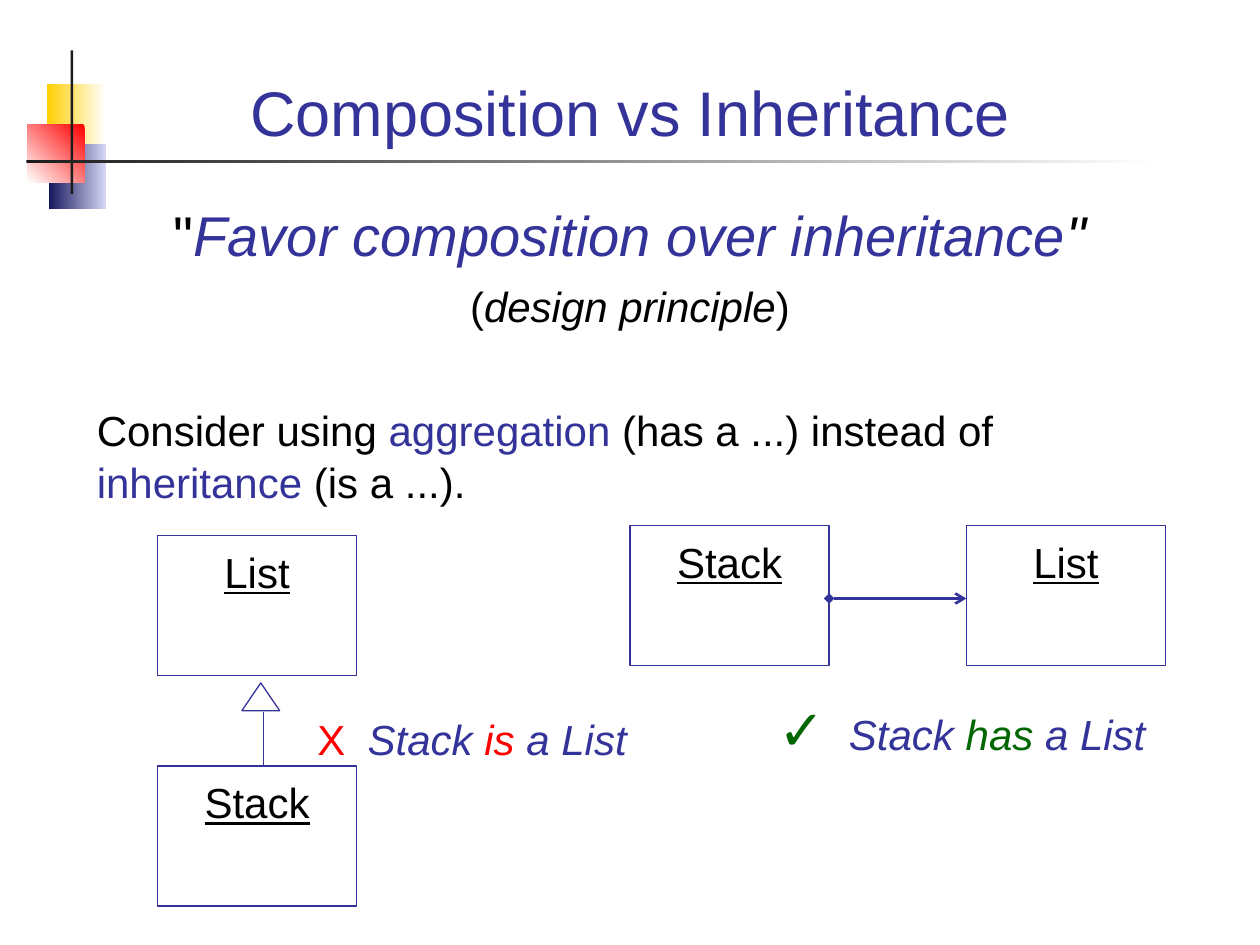
from dataclasses import dataclass

from lxml import etree
from pptx import Presentation
from pptx import util as u
from pptx.dml.color import RGBColor
from pptx.enum import shapes, text
from pptx.oxml import ns


@dataclass(frozen=True)
class Theme:
    font: str = "Arial"
    blue: str = "333399"
    black: str = "000000"
    white: str = "FFFFFF"
    red: str = "FF0000"
    green: str = "006600"
    yellow: str = "FFCF01"
    navy: str = "17175E"
    lilac: str = "D6D6F5"
    dark: str = "1C1C1C"
    title: int = 36
    quote: int = 32
    body: int = 24


T = Theme()
rgb = RGBColor.from_string
CENTER = text.PP_ALIGN.CENTER
LEFT = text.PP_ALIGN.LEFT


def inches(*values):
    return [u.Inches(v) for v in values]


def write(tf, runs, *, size=T.body, align=LEFT, before=0, spacing=1.04,
          anchor=text.MSO_ANCHOR.TOP, top=0.07, tab=None, new=False):
    """Add a paragraph of (text, colour, style letters, optional size) runs."""
    tf.word_wrap = True
    tf.auto_size = text.MSO_AUTO_SIZE.NONE
    tf.vertical_anchor = anchor
    tf.margin_left, tf.margin_right, tf.margin_top, tf.margin_bottom = inches(0.1, 0.1, top, 0.05)
    p = tf.add_paragraph() if new else tf.paragraphs[0]
    p.alignment, p.line_spacing, p.space_before = align, spacing, u.Pt(before)
    if tab:
        tabs = etree.SubElement(p._p.get_or_add_pPr(), ns.qn("a:tabLst"))
        etree.SubElement(tabs, ns.qn("a:tab"), pos=str(u.Inches(tab)), algn="l")
    for content, color, style, *own_size in runs:
        r = p.add_run()
        r.text = content
        f = r.font
        f.name, f.size = T.font, u.Pt(own_size[0] if own_size else size)
        f.color.rgb = rgb(color)
        f.italic, f.underline = "i" in style, "u" in style


def add_box(s, box, kind=shapes.MSO_SHAPE.RECTANGLE, fill=None, gradient=None, angle=0, line=None):
    sp = s.shapes.add_shape(kind, *inches(*box))
    sp.shadow.inherit = False
    if gradient:
        sp.fill.gradient()
        sp.fill.gradient_angle = angle
        for stop, color in zip(sp.fill.gradient_stops, gradient):
            stop.color.rgb = rgb(color)
    elif fill:
        sp.fill.solid()
        sp.fill.fore_color.rgb = rgb(fill)
    else:
        sp.fill.background()
    if line:
        sp.line.color.rgb, sp.line.width = rgb(line), u.Pt(0.75)
    else:
        sp.line.fill.background()
    return sp


def add_line(s, start, end, width, head=None, tail=None):
    c = s.shapes.add_connector(shapes.MSO_CONNECTOR.STRAIGHT, *inches(*start, *end))
    c.line.color.rgb, c.line.width = rgb(T.blue), u.Pt(width)
    ln = c.line._get_or_add_ln()
    for tag, kind in (("a:headEnd", head), ("a:tailEnd", tail)):
        if kind:
            etree.SubElement(ln, ns.qn(tag), type=kind)
    etree.SubElement(c._element.spPr, ns.qn("a:effectLst"))


def add_ornament(s, x, y):
    """Coloured squares with a vertical bar and a fading rule."""
    add_box(s, (x + 0.16, y + 0.27, 0.47, 0.52), gradient=(T.yellow, T.white))
    add_box(s, (x + 0.18, y + 0.74, 0.45, 0.52), gradient=(T.navy, T.lilac))
    add_box(s, (x + 0.01, y + 0.59, 0.45, 0.46), gradient=(T.red, T.white), angle=225)
    add_box(s, (x + 0.35, y, 0.02, 1.14), fill=T.dark)
    add_box(s, (x, y + 0.87, 8.99, 0.02), gradient=(T.dark, T.white))


def add_title(s, box):
    sp = s.shapes.title
    sp.left, sp.top, sp.width, sp.height = inches(*box)
    write(sp.text_frame, [("Composition vs Inheritance", T.blue, "")], size=T.title,
          align=CENTER, spacing=1.0, anchor=text.MSO_ANCHOR.BOTTOM)


def add_principle(s, box):
    tf = s.shapes.add_textbox(*inches(*box)).text_frame
    write(tf, [('"', T.black, ""), ("Favor composition over inheritance", T.blue, "i"),
               ('"', T.black, "i")], size=T.quote, align=CENTER)
    write(tf, [("(", T.black, ""), ("design principle", T.black, "i"), (")", T.black, "")],
          align=CENTER, before=6, new=True)
    write(tf, [("Consider using ", T.black, ""), ("aggregation", T.blue, ""),
               (" (has a ...) instead of ", T.black, ""), ("inheritance", T.blue, ""),
               (" (is a ...).", T.black, "")], before=41, new=True)


CLASS_W, CLASS_H = 1.58, 1.11


def add_class(s, x, y, name):
    sp = add_box(s, (x, y, CLASS_W, CLASS_H), line=T.blue)
    write(sp.text_frame, [(name, T.black, "u")], align=CENTER)


def add_verdict(s, box, mark, size, color, verb, tab):
    tf = s.shapes.add_textbox(*inches(*box)).text_frame
    write(tf, [(mark, color, "", size), ("\t", T.black, ""), ("Stack ", T.blue, "i"),
               (verb, color, "i"), (" a List", T.blue, "i")], tab=tab)


def add_inheritance(s, x, y):
    """Stack below List, joined by a generalisation arrow."""
    stack_y = y + 1.83
    add_class(s, x, y, "List")
    add_class(s, x, stack_y, "Stack")
    add_box(s, (x + 0.67, y + 1.17, 0.3, 0.22), shapes.MSO_SHAPE.ISOSCELES_TRIANGLE,
            fill=T.white, line=T.blue)
    add_line(s, (x + 0.84, y + 1.4), (x + 0.84, stack_y), 0.75)
    add_verdict(s, (x + 1.17, y + 1.33, 3.17, 0.5), "X", T.body, T.red, "is", 0.4)


def add_composition(s, x, y):
    """Stack beside List, joined by a composition arrow."""
    list_x = x + 2.67
    add_class(s, x, y, "Stack")
    add_class(s, list_x, y, "List")
    add_line(s, (x + CLASS_W, y + 0.58), (list_x, y + 0.58), 1.5, "diamond", "arrow")
    add_verdict(s, (x + 1.08, y + 1.25, 3.17, 0.64), "✓", T.quote, T.green, "has", 0.56)


def main():
    prs = Presentation()
    prs.slide_width, prs.slide_height = inches(10, 7.5)
    s = prs.slides.add_slide(prs.slide_layouts[5])
    add_ornament(s, 0.21, 0.4)
    add_title(s, (0.67, 0.28, 8.66, 0.95))
    add_principle(s, (0.67, 1.5, 8.66, 2.58))
    add_inheritance(s, 1.25, 4.25)
    add_composition(s, 5, 4.17)
    prs.save("out.pptx")


if __name__ == "__main__":
    main()
